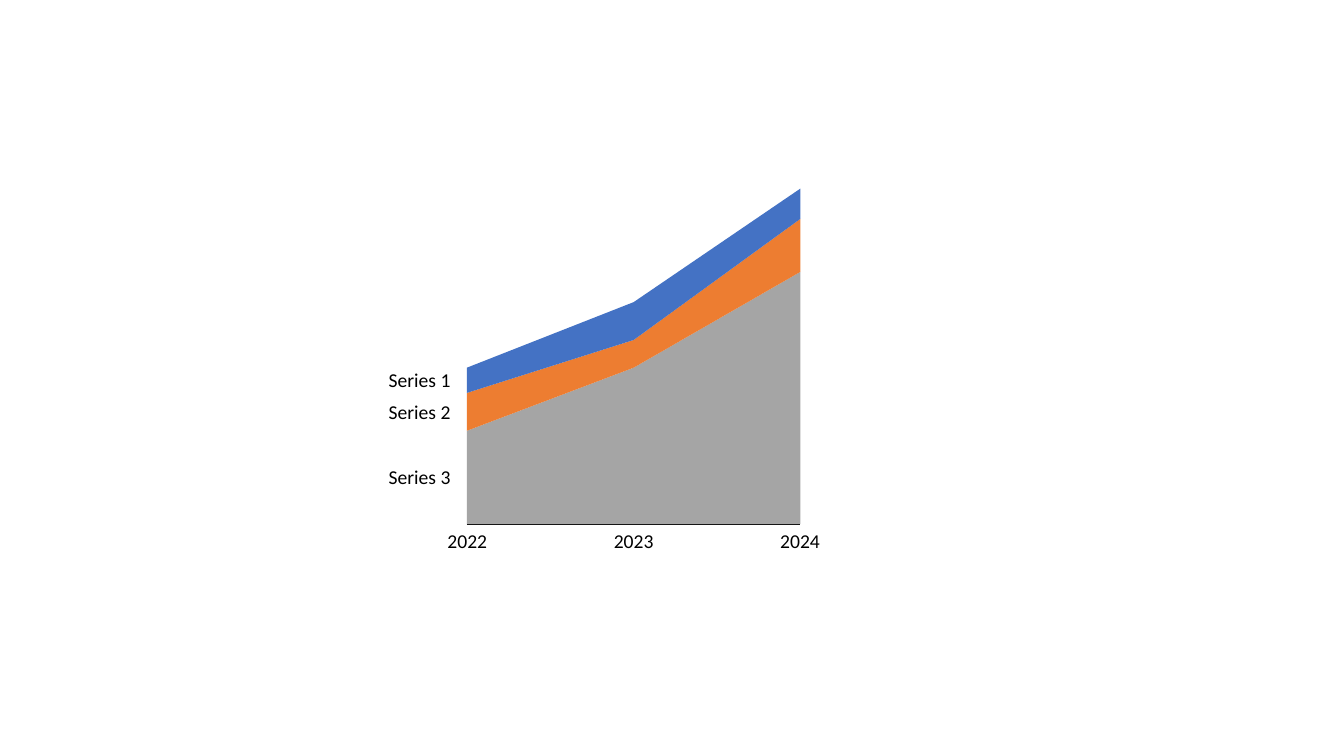
from dataclasses import dataclass

from lxml import etree
from pptx import Presentation
from pptx.chart.data import CategoryChartData
from pptx.dml.color import RGBColor
from pptx.enum.chart import XL_CHART_TYPE, XL_TICK_LABEL_POSITION, XL_TICK_MARK
from pptx.enum.text import MSO_ANCHOR, PP_ALIGN
from pptx.oxml import parse_xml
from pptx.oxml.ns import nsdecls, qn
from pptx.util import Inches, Pt

AREA_STACKED = XL_CHART_TYPE.AREA_STACKED
NO_LABELS = XL_TICK_LABEL_POSITION.NONE
NO_TICKS = XL_TICK_MARK.NONE
TOP, MIDDLE = MSO_ANCHOR.TOP, MSO_ANCHOR.MIDDLE
CENTER, RIGHT = PP_ALIGN.CENTER, PP_ALIGN.RIGHT

FONT = "Calibri"
BLACK = "000000"
LABEL_HEIGHT = 0.21
YEAR_LEFT, YEAR_TOP, YEAR_WIDTH, YEAR_STEP = 4.43, 5.27, 0.41, 1.65
NAME_LEFT, NAME_WIDTH = 3.79, 0.68


@dataclass
class AreaSeries:
    name: str
    values: tuple[int, ...]
    color: str


@dataclass
class Label:
    text: str
    left: float
    top: float
    width: float
    align: PP_ALIGN
    anchor: MSO_ANCHOR


SERIES = [
    AreaSeries("Series 1", (37, 62, 100), "A5A5A5"),
    AreaSeries("Series 2", (15, 11, 21), "ED7D31"),
    AreaSeries("Series 3", (10, 15, 12), "4472C4"),
]
YEAR_LABELS = [
    Label(year, YEAR_LEFT + i * YEAR_STEP, YEAR_TOP, YEAR_WIDTH, CENTER, TOP)
    for i, year in enumerate(("2022", "2023", "2024"))
]
NAME_LABELS = [
    Label(name, NAME_LEFT, top, NAME_WIDTH, RIGHT, MIDDLE)
    for name, top in (("Series 1", 3.68), ("Series 2", 3.99), ("Series 3", 4.64))
]


def rgb(color: str) -> RGBColor:
    return RGBColor.from_string(color)


def set_plot_layout(chart, x: float, y: float, w: float, h: float) -> None:
    """Fix the inner plot area as fractions of the chart frame."""
    plot_area = chart.element.find(".//" + qn("c:plotArea"))
    for old in plot_area.findall(qn("c:layout")):
        plot_area.remove(old)
    layout = parse_xml(f"<c:layout {nsdecls('c')}/>")
    manual = etree.SubElement(layout, qn("c:manualLayout"))
    settings = [("layoutTarget", "inner"), ("xMode", "edge"), ("yMode", "edge"),
                ("x", x), ("y", y), ("w", w), ("h", h)]
    for tag, value in settings:
        etree.SubElement(manual, qn(f"c:{tag}")).set("val", str(value))
    plot_area.insert(0, layout)


def add_area_chart(slide, series: list[AreaSeries]) -> None:
    data = CategoryChartData()
    data.categories = ["1", "2", "3"]
    for item in series:
        data.add_series(item.name, item.values)
    chart = slide.shapes.add_chart(
        AREA_STACKED, Inches(4.54), Inches(1.78), Inches(3.49), Inches(3.51), data
    ).chart
    chart.has_title = False
    chart.has_legend = False
    chart.font.name = FONT
    chart.font.size = Pt(10)
    chart.font.color.rgb = rgb(BLACK)
    plot = chart.plots[0]
    plot.vary_by_categories = False
    for area, item in zip(plot.series, series):
        area.format.fill.solid()
        area.format.fill.fore_color.rgb = rgb(item.color)
        area.format.line.fill.background()

    # Axes: the scale ends at the highest stacked total
    years = chart.category_axis
    years.tick_label_position = NO_LABELS
    years.major_tick_mark = years.minor_tick_mark = NO_TICKS
    years.has_major_gridlines = False
    years.format.line.color.rgb = rgb(BLACK)
    years.format.line.width = Pt(0.75)
    amounts = chart.value_axis
    amounts.minimum_scale = 0
    amounts.maximum_scale = max(map(sum, zip(*(item.values for item in series))))
    amounts.has_major_gridlines = False
    amounts.visible = False
    # Areas run from edge to edge of the plot
    for cross in chart.element.iter(qn("c:crossBetween")):
        cross.set("val", "midCat")
    set_plot_layout(chart, 0.026, 0.026, 0.948, 0.949)


def add_label(slide, label: Label) -> None:
    sp = slide.shapes.add_textbox(Inches(label.left), Inches(label.top),
                                  Inches(label.width), Inches(LABEL_HEIGHT))
    tf = sp.text_frame
    tf.word_wrap = False
    tf.margin_left = tf.margin_right = tf.margin_top = tf.margin_bottom = 0
    tf.vertical_anchor = label.anchor
    p = tf.paragraphs[0]
    p.alignment = label.align
    p.line_spacing = 0.9
    r = p.add_run()
    r.text = label.text
    r.font.name = FONT
    r.font.size = Pt(14)
    r.font.color.rgb = rgb(BLACK)


def main() -> None:
    prs = Presentation()
    prs.slide_width, prs.slide_height = Inches(13.33), Inches(7.5)
    slide = prs.slides.add_slide(prs.slide_layouts[6])
    add_area_chart(slide, SERIES)
    for label in YEAR_LABELS + NAME_LABELS:
        add_label(slide, label)
    prs.save("out.pptx")


if __name__ == "__main__":
    main()
